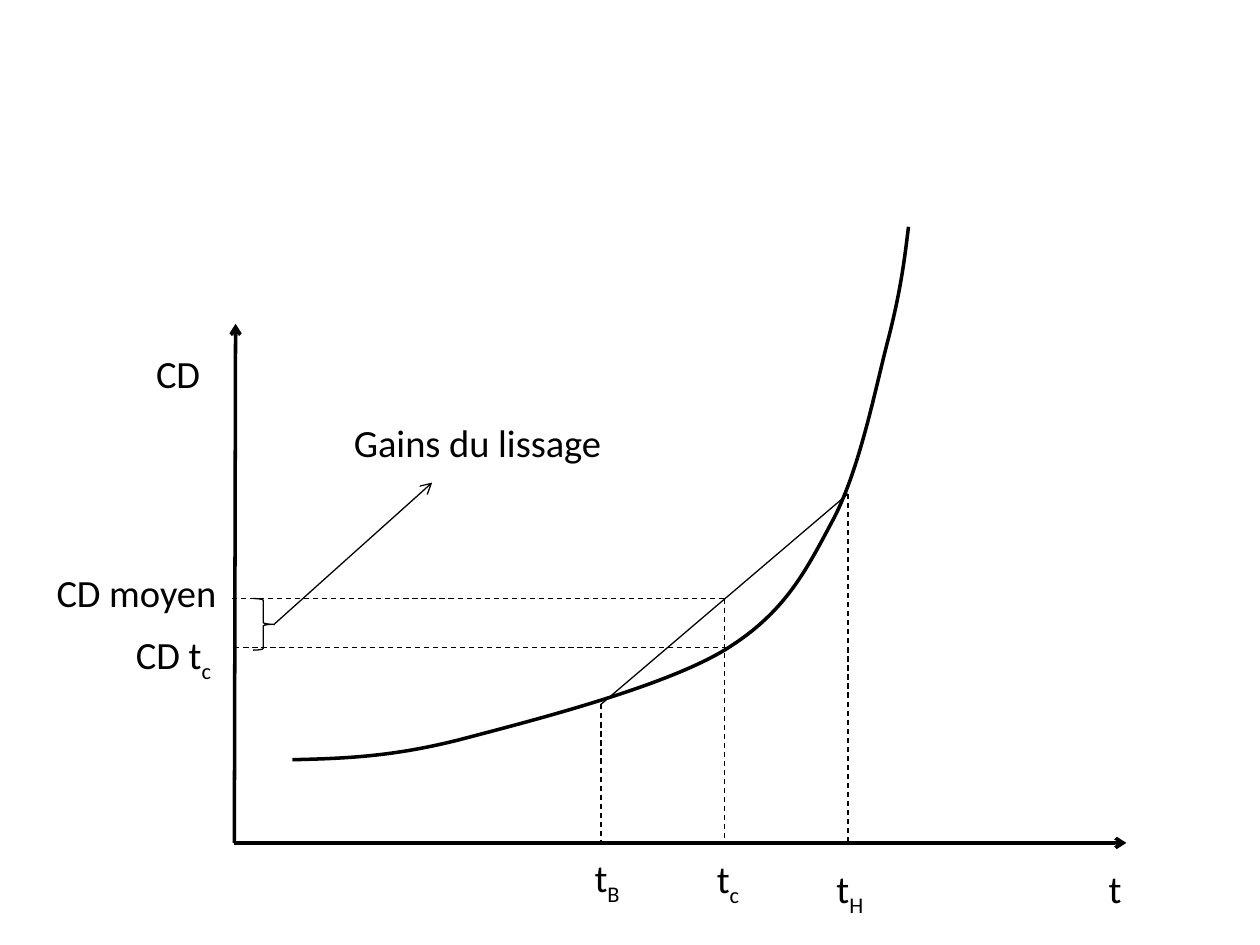
from lxml.etree import SubElement
from pptx import Presentation
from pptx.dml.color import RGBColor
from pptx.enum.dml import MSO_LINE
from pptx.enum.shapes import MSO_CONNECTOR, MSO_SHAPE
from pptx.enum.text import MSO_AUTO_SIZE
from pptx.oxml.ns import qn
from pptx.util import Inches, Pt

COLORS = {"ink": "000000", "paper": "FFFFFF"}
INK = RGBColor.from_string(COLORS["ink"])

deck = Presentation()
deck.slide_width, deck.slide_height = Inches(10), Inches(7.5)
COLUMN = deck.slide_width // 100
ROW = deck.slide_height // 75
page = deck.slides.add_slide(deck.slide_layouts[6])
page.background.fill.solid()
page.background.fill.fore_color.rgb = RGBColor.from_string(COLORS["paper"])


def place(column, row):
    return round(column * COLUMN), round(row * ROW)


def add_line(start, end, weight=0.75, dashed=False, arrow=False):
    line = page.shapes.add_connector(MSO_CONNECTOR.STRAIGHT, *place(*start), *place(*end))
    line.line.color.rgb = INK
    line.line.width = Pt(weight)
    if dashed:
        line.line.dash_style = MSO_LINE.DASH
    if arrow:
        SubElement(line.line._get_or_add_ln(), qn("a:tailEnd"), type="arrow")
    SubElement(line._element.spPr, qn("a:effectLst"))


origin = (18.6, 66.9)
low, middle, high = (47.7, 55.9), (57.5, 47.5), (67.3, 39.2)
smoothed_cost = 51.4

for tip in [(18.7, 25.7), (89.4, origin[1])]:
    add_line(origin, tip, weight=2, arrow=True)

curve_points = [
    (23.2, 60.3),
    (27.2, 60.2), (31.2, 60.1), (36.9, 58.6),
    (42.6, 57.1), (52.7, 54.5), (57.5, 51.6),
    (62.4, 48.6), (64, 45.2), (66.2, 41.1),
    (68.3, 37), (69.5, 30.7), (70.5, 26.9),
    (71.5, 23), (71.8, 20.5), (72.1, 18),
]
outline = page.shapes.build_freeform(*place(*curve_points[0]))
outline.add_line_segments([place(*point) for point in curve_points[1:]], close=False)
curve = outline.convert_to_shape()
curve.shadow.inherit = False
curve.fill.background()
curve.line.color.rgb = INK
curve.line.width = Pt(2)
track = curve._element.spPr.find(".//" + qn("a:path"))
segments = track.findall(qn("a:lnTo"))
for index in range(0, len(segments), 3):
    bend = SubElement(track, qn("a:cubicBezTo"))
    for segment in segments[index:index + 3]:
        bend.append(segment[0])
        track.remove(segment)

for column, row in [low, middle, high]:
    add_line((column, row), (column, origin[1]), dashed=True)
add_line(low, high)
add_line((18.6, smoothed_cost), (57.7, smoothed_cost), dashed=True)
add_line((18.4, middle[1]), middle, dashed=True)

brace = page.shapes.add_shape(MSO_SHAPE.RIGHT_BRACE, *place(20.1, 47.5), *place(1.6, 4.1))
brace.shadow.inherit = False
brace.fill.background()
brace.line.color.rgb = INK
brace.line.width = Pt(0.75)
add_line((21.7, 49.6), (34.3, 38.3), arrow=True)

labels = [
    ("CD", "", 11.4, 27.3, 5.6),
    ("t", "", 87, 68.2, 3.1),
    ("t", "B", 46.2, 67.3, 4.2),
    ("t", "H", 65.4, 68.2, 4.3),
    ("t", "c", 55.9, 67.4, 3.9),
    ("CD moyen", "", 3.5, 44.7, 14.9),
    ("CD t", "c", 9.8, 49.6, 8.1),
    ("Gains du lissage", "", 27.1, 32.8, 21.9),
]
for name, subscript, column, row, width in labels:
    box = page.shapes.add_textbox(*place(column, row), *place(width, 4.7))
    box.text_frame.word_wrap = False
    box.text_frame.auto_size = MSO_AUTO_SIZE.SHAPE_TO_FIT_TEXT
    para = box.text_frame.paragraphs[0]
    for text, baseline in [(name, None), (subscript, "-25000")]:
        if text:
            span = para.add_run()
            span.text = text
            span.font.name = "Calibri"
            span.font.size = Pt(22)
            span.font.color.rgb = INK
            if baseline:
                span.font._element.set("baseline", baseline)

deck.save("out.pptx")
